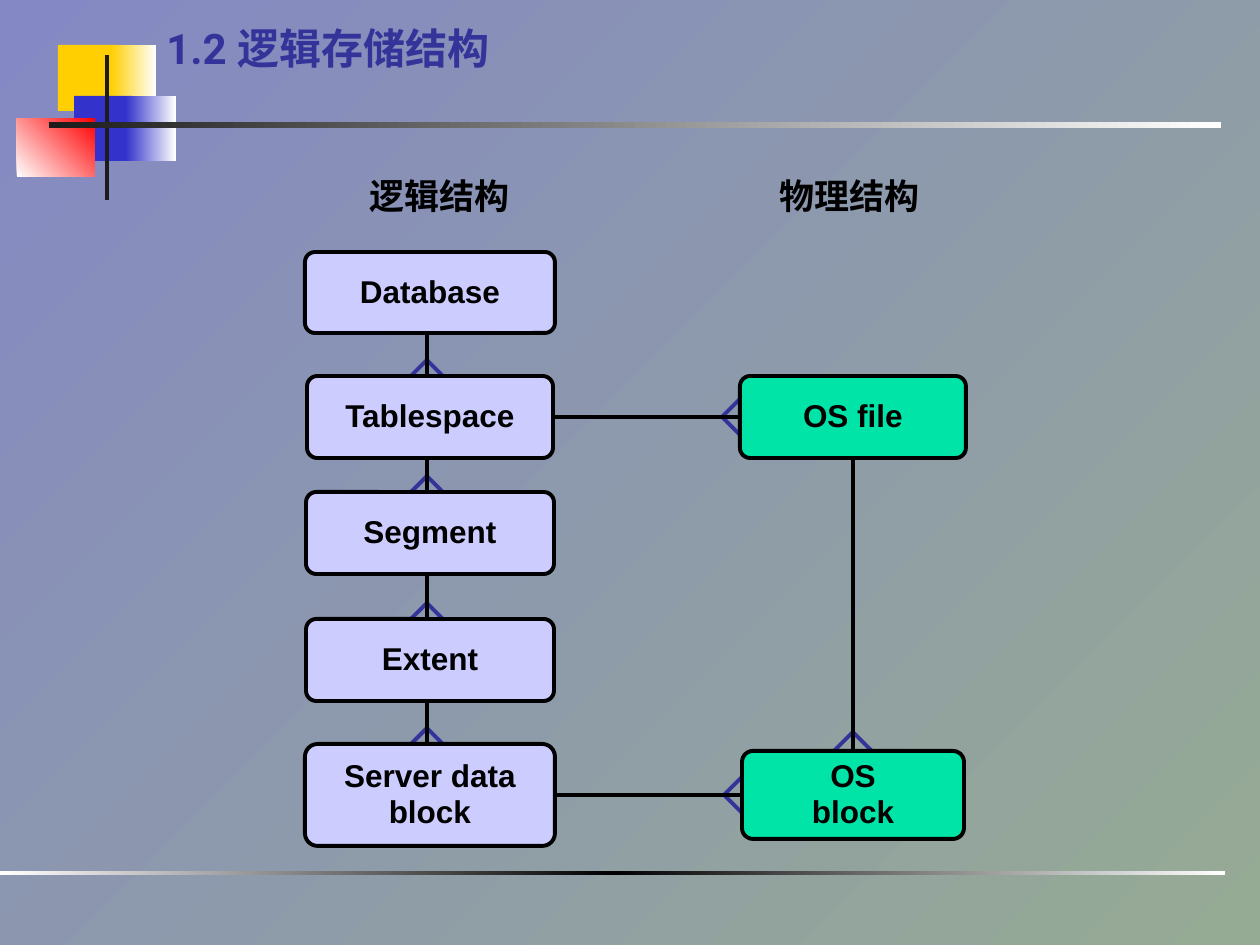
from copy import deepcopy

from pptx import Presentation
from pptx.dml.color import RGBColor
from pptx.enum.shapes import MSO_CONNECTOR, MSO_SHAPE
from pptx.enum.text import MSO_ANCHOR, PP_ALIGN
from pptx.oxml.ns import qn
from pptx.util import Emu, Pt

RECTANGLE, ROUNDED = MSO_SHAPE.RECTANGLE, MSO_SHAPE.ROUNDED_RECTANGLE
STRAIGHT = MSO_CONNECTOR.STRAIGHT
MIDDLE, TOP = MSO_ANCHOR.MIDDLE, MSO_ANCHOR.TOP
CENTER, LEFT = PP_ALIGN.CENTER, PP_ALIGN.LEFT

YELLOW = RGBColor(0xFF, 0xCF, 0x01)
BLUE = RGBColor(0x33, 0x33, 0xCC)
RED = RGBColor(0xFF, 0x00, 0x00)
WHITE = RGBColor(0xFF, 0xFF, 0xFF)
BLACK = RGBColor(0x00, 0x00, 0x00)
CHARCOAL = RGBColor(0x1C, 0x1C, 0x1C)
NAVY = RGBColor(0x33, 0x33, 0x99)
LAVENDER = RGBColor(0xCC, 0xCC, 0xFF)
GREEN = RGBColor(0x00, 0xE4, 0xA8)
BACKGROUND = [RGBColor(0x84, 0x88, 0xC4), RGBColor(0x96, 0xAB, 0x94)]

# Content
TITLE = "1.2 逻辑存储结构"
HEADINGS = [("逻辑结构", 440), ("物理结构", 850)]  # text, centre x
# (text, top, width, height); \v is a line break
LOGICAL = [
    ("Database", 252, 250, 81),
    ("Tablespace", 376, 246, 82),
    ("Segment", 492, 248, 82),
    ("Extent", 619, 248, 82),
    ("Server data\vblock", 744, 250, 102),
]
PHYSICAL = [("OS file", 376, 226, 82), ("OS\vblock", 751, 222, 88)]
LOGICAL_X, PHYSICAL_X, SPINE_X = 430, 853, 427
HEADING_WIDTH = 200
# (left, top, width, height), colours, clockwise angle
DECORATION = [
    ((58, 45, 60, 66), [YELLOW], 0),
    ((111, 45, 45, 66), [YELLOW, WHITE], 0),
    ((74, 96, 58, 65), [BLUE], 0),
    ((126, 96, 50, 65), [BLUE, WHITE], 0),
    ((17, 118, 78, 59), [WHITE, RED], 315),
    ((105, 55, 4, 145), [CHARCOAL], 0),
    ((49, 122, 1172, 6), [CHARCOAL, WHITE], 0),
    ((0, 871, 1225, 4), [WHITE, BLACK, WHITE], 0),
]
ARM = 31  # reach of a crow's foot arm, both ways
LINE_WIDTH = Pt(2.25)


def px(length):
    return Emu(round(length * 914400 / 126))


def paint(fill, element, colors, angle):
    """Fill with one colour or with evenly spaced gradient stops."""
    if len(colors) == 1:
        fill.solid()
        fill.fore_color.rgb = colors[0]
        return
    fill.gradient()
    stop_list = next(element.iter(qn("a:gsLst")))
    for _ in colors[2:]:
        stop_list.append(deepcopy(stop_list[0]))
    for index, (stop, color) in enumerate(zip(fill.gradient_stops, colors)):
        stop.color.rgb = color
        stop.position = index / (len(colors) - 1)
    fill.gradient_angle = (360 - angle) % 360


def write(shape, text, size, font, color, align, anchor, wrap):
    text_frame = shape.text_frame
    text_frame.text = text
    text_frame.word_wrap = wrap
    text_frame.vertical_anchor = anchor
    paragraph = text_frame.paragraphs[0]
    paragraph.alignment = align
    for run in paragraph.runs:
        run.font.size = Pt(size)
        run.font.name = font
        run.font.bold = True
        run.font.color.rgb = color


def add_text(slide, box, *style):
    write(slide.shapes.add_textbox(*map(px, box)), *style)


def add_box(slide, center_x, fill, entry):
    text, top, width, height = entry
    area = (center_x - width / 2, top, width, height)
    shape = slide.shapes.add_shape(ROUNDED, *map(px, area))
    shape.shadow.inherit = False
    shape.adjustments[0] = 0.125
    paint(shape.fill, shape._element, [fill], 0)
    shape.line.color.rgb = BLACK
    shape.line.width = LINE_WIDTH
    write(shape, text, 18, "Arial", BLACK, CENTER, MIDDLE, False)
    text_frame = shape.text_frame
    text_frame.margin_left = text_frame.margin_right = px(6)
    text_frame.margin_top = text_frame.margin_bottom = px(6)
    text_frame.paragraphs[0].line_spacing = 0.95
    return shape


def add_crow_foot(slide, x, y, dx, dy):
    """Open chevron whose tip is at (x, y) and whose arms run along (dx, dy)."""
    base_x, base_y = x + dx * ARM, y + dy * ARM
    start = (base_x - dy * ARM, base_y - dx * ARM)
    end = (base_x + dy * ARM, base_y + dx * ARM)
    builder = slide.shapes.build_freeform(*map(px, start))
    builder.add_line_segments([(px(x), px(y)), tuple(map(px, end))], close=False)
    shape = builder.convert_to_shape()
    shape.shadow.inherit = False
    shape.fill.background()
    shape.line.color.rgb = NAVY
    shape.line.width = LINE_WIDTH


def add_line(slide, *ends):
    connector = slide.shapes.add_connector(STRAIGHT, *map(px, ends))
    connector.line.color.rgb = BLACK
    connector.line.width = LINE_WIDTH
    properties = connector._element.spPr
    properties.append(properties.makeelement(qn("a:effectLst"), {}))
    return connector


def join(slide, first, first_side, second, second_side):
    connector = add_line(slide, 0, 0, 0, 0)
    connector.begin_connect(first, first_side)
    connector.end_connect(second, second_side)


def main():
    presentation = Presentation()
    presentation.slide_width, presentation.slide_height = px(1260), px(945)
    slide = presentation.slides.add_slide(presentation.slide_layouts[6])
    paint(slide.background.fill, slide._element, BACKGROUND, 45)

    # Corner blocks and rules
    for area, colors, angle in DECORATION:
        shape = slide.shapes.add_shape(RECTANGLE, *map(px, area))
        shape.shadow.inherit = False
        shape.line.fill.background()
        paint(shape.fill, shape._element, colors, angle)

    # Title and column headings
    add_text(slide, (154, 16, 1074, 100), TITLE, 24, "Roboto", NAVY, LEFT, TOP, True)
    for text, center_x in HEADINGS:
        add_text(slide, (center_x - HEADING_WIDTH / 2, 168, HEADING_WIDTH, 55),
                 text, 20, "Arial", BLACK, CENTER, TOP, False)

    # Crow's feet, half hidden behind the boxes they point from
    for _, top, _, _ in LOGICAL[1:]:
        add_crow_foot(slide, SPINE_X, top - 16, 0, 1)
    for _, top, width, height in PHYSICAL:
        add_crow_foot(slide, PHYSICAL_X - width / 2 - 18, top + height / 2, 1, 0)
    add_crow_foot(slide, PHYSICAL_X, PHYSICAL[1][1] - 19, 0, 1)

    # Spine behind the logical boxes, then the boxes
    add_line(slide, SPINE_X, 261, SPINE_X, 796)
    logical = [add_box(slide, LOGICAL_X, LAVENDER, entry) for entry in LOGICAL]
    os_file, os_block = [add_box(slide, PHYSICAL_X, GREEN, entry) for entry in PHYSICAL]

    # Links between the boxes (0 top, 1 left, 2 bottom, 3 right)
    join(slide, logical[1], 3, os_file, 1)
    join(slide, logical[4], 3, os_block, 1)
    join(slide, os_file, 2, os_block, 0)

    presentation.save("out.pptx")


if __name__ == "__main__":
    main()
